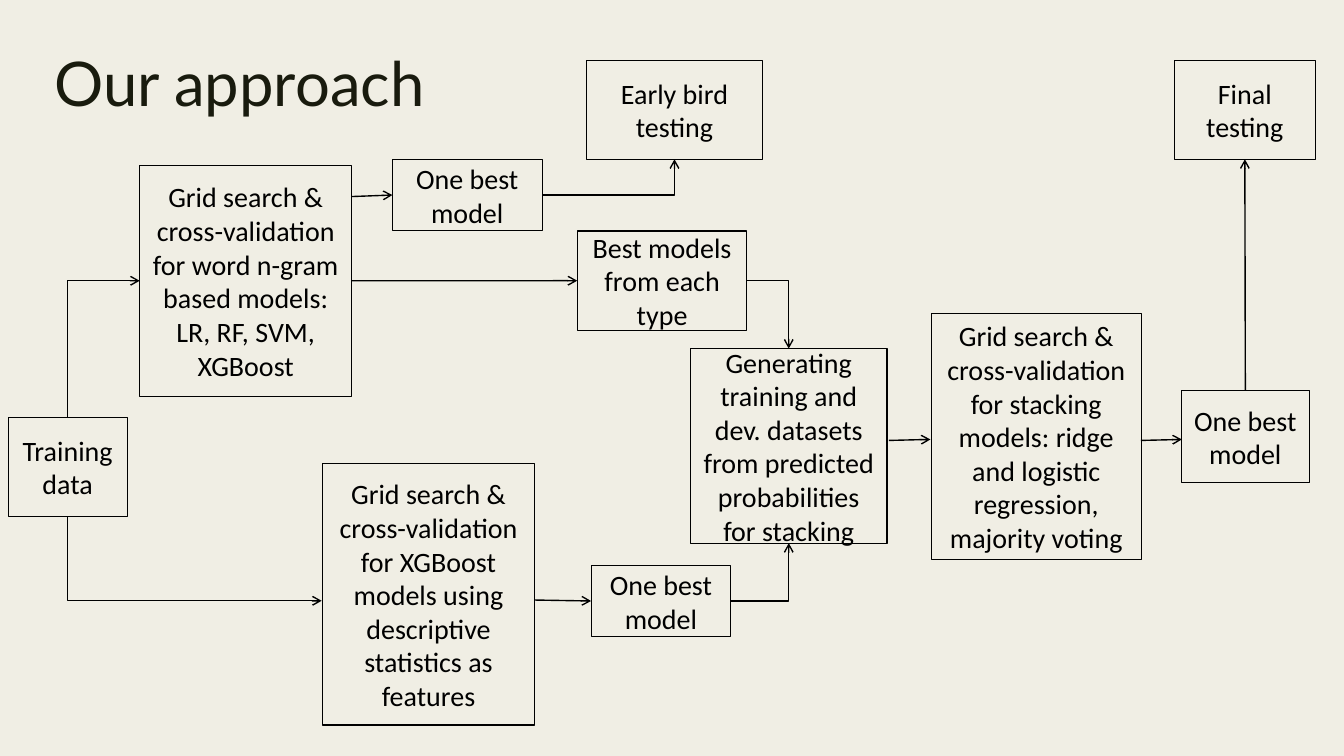
from pptx import Presentation
from pptx.dml.color import RGBColor
from pptx.enum.shapes import MSO_CONNECTOR as Route, MSO_SHAPE as Preset
from pptx.enum.text import MSO_ANCHOR as Anchor, PP_ALIGN as Align
from pptx.oxml.ns import qn
from pptx.util import Pt
from lxml.etree import SubElement

COLORS = {"background": "F0EEE4", "title": "191B0E", "ink": "000000"}
TOP, LEFT, BOTTOM, RIGHT = range(4)


class FlowSlide:
    """Draws a flow diagram of outlined boxes and arrows on one slide."""

    def __init__(self, deck):
        self.page = deck.slides.add_slide(deck.slide_layouts[6])
        self.shapes = self.page.shapes
        fill = self.page.background.fill
        fill.solid()
        fill.fore_color.rgb = self.color("background")

    def color(self, name):
        return RGBColor.from_string(COLORS[name])

    def style(self, para, font, size, color):
        para.font.name = font
        para.font.size = Pt(size)
        para.font.color.rgb = self.color(color)

    def title(self, text, left, top, width, height):
        box = self.shapes.add_textbox(Pt(left), Pt(top), Pt(width), Pt(height))
        box.text_frame.word_wrap = True
        para = box.text_frame.paragraphs[0]
        para.text = text
        para.line_spacing = 0.89
        self.style(para, "Lato", 44, "title")

    def box(self, text, left, top, width, height):
        box = self.shapes.add_shape(
            Preset.RECTANGLE, Pt(left), Pt(top), Pt(width), Pt(height))
        box.shadow.inherit = False
        box.fill.background()
        box.line.color.rgb = self.color("ink")
        box.line.width = Pt(0.75)
        frame = box.text_frame
        frame.word_wrap = True
        frame.vertical_anchor = Anchor.MIDDLE
        frame.text = text
        for para in frame.paragraphs:
            para.alignment = Align.CENTER
            self.style(para, "Calibri", 20, "ink")
        return box

    def point(self, place):
        first, second = place
        if isinstance(first, (int, float)):
            return Pt(first), Pt(second)
        across = {LEFT: 0, RIGHT: first.width}.get(second, first.width // 2)
        down = {TOP: 0, BOTTOM: first.height}.get(second, first.height // 2)
        return first.left + across, first.top + down

    def line(self, route, begin, end, arrow_end):
        line = self.shapes.add_connector(route, *self.point(begin), *self.point(end))
        line.line.color.rgb = self.color("ink")
        line.line.width = Pt(1)
        properties = line._element.spPr
        SubElement(properties.find(qn("a:ln")), qn(f"a:{arrow_end}"), type="arrow")
        SubElement(properties, qn("a:effectLst"))
        return line

    def arrow(self, begin, end):
        line = self.line(Route.STRAIGHT, begin, end, "tailEnd")
        for place, connect in ((begin, line.begin_connect), (end, line.end_connect)):
            if not isinstance(place[0], (int, float)):
                connect(*place)

    def elbow(self, level, upright, arrow_end="tailEnd"):
        line = self.line(Route.ELBOW, level, upright, arrow_end)
        line._element.spPr.find(qn("a:prstGeom")).set("prst", "bentConnector2")


def main():
    deck = Presentation()
    deck.slide_width, deck.slide_height = Pt(960), Pt(540)
    flow = FlowSlide(deck)
    flow.title("Our approach", 31.7, 35.3, 756, 116.6)

    training = flow.box("Training data", 5.8, 298.1, 85, 70.6)
    word_best = flow.box("One best model", 280.3, 113.8, 107, 51)
    word_search = flow.box(
        "Grid search & cross-validation\nfor word n-gram based models:\n"
        "LR, RF, SVM, XGBoost", 99.8, 118.1, 151.4, 164.9)
    flow.box(
        "Grid search & cross-validation for XGBoost models using descriptive "
        "statistics as features", 230.4, 331.4, 151.4, 186.5)
    early_bird = flow.box("Early bird testing", 418.8, 43.2, 126, 70.6)
    best_models = flow.box("Best models from each type", 412.3, 165, 121.3, 71)
    stacking_data = flow.box(
        "Generating\ntraining and dev. datasets\n"
        "from predicted probabilities for stacking", 493.2, 249, 140.4, 139)
    boost_best = flow.box("One best model", 422.2, 403.8, 99.8, 51)
    final = flow.box("Final testing", 838.8, 43.2, 100.8, 70.6)
    flow.box(
        "Grid search & cross-validation\nfor stacking models: ridge and logistic "
        "regression, majority voting", 665.3, 223.9, 149.8, 175.7)
    final_best = flow.box("One best model", 843.8, 279.2, 91.5, 65.5)

    flow.elbow((229.8, 429.2), (training, BOTTOM), "headEnd")
    flow.elbow((word_search, LEFT), (training, TOP), "headEnd")
    flow.elbow((word_best, RIGHT), (early_bird, BOTTOM))
    flow.elbow((best_models, RIGHT), (stacking_data, TOP))
    flow.elbow((boost_best, RIGHT), (stacking_data, BOTTOM))

    flow.arrow((251.2, 140.4), (word_best, LEFT))
    flow.arrow((word_search, RIGHT), (best_models, LEFT))
    flow.arrow((382.3, 428.6), (boost_best, LEFT))
    flow.arrow((635, 314.6), (664.6, 313.9))
    flow.arrow((815, 314.6), (844.2, 313.9))
    flow.arrow((final_best, TOP), (final, BOTTOM))
    deck.save("out.pptx")


if __name__ == "__main__":
    main()
